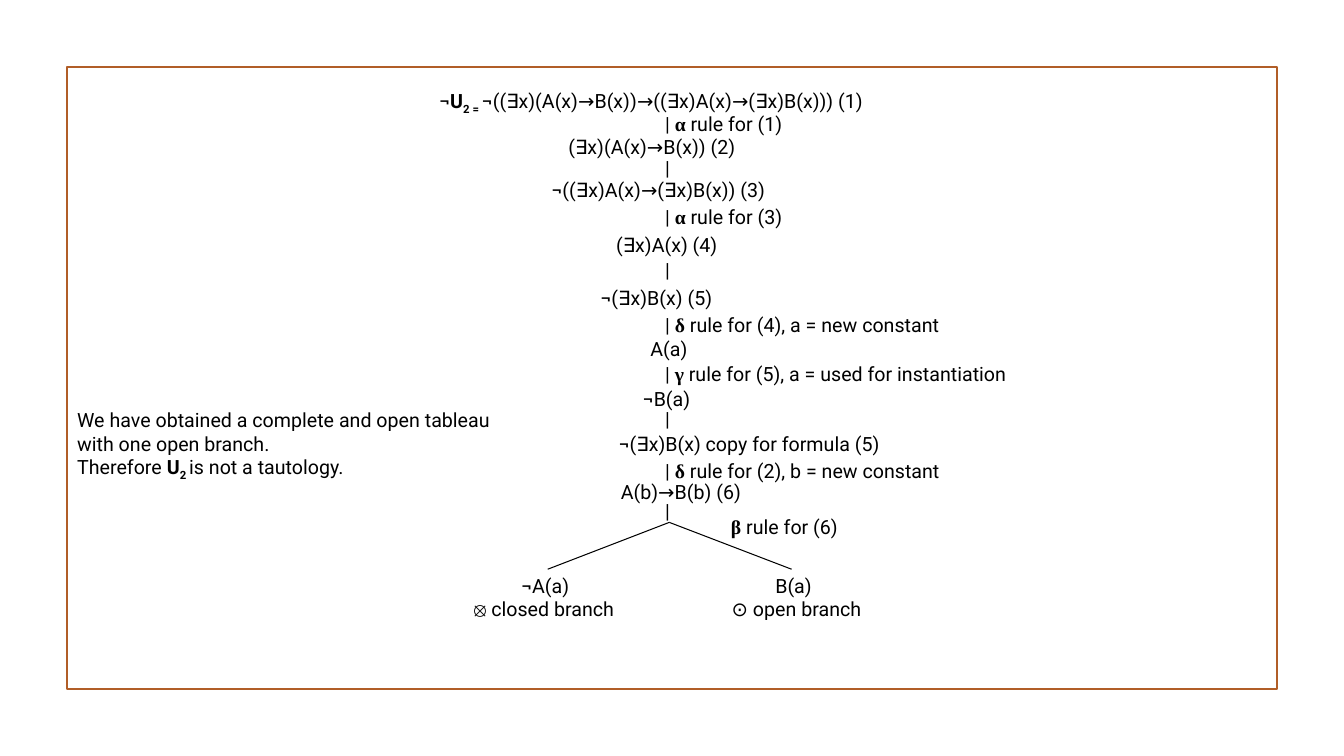
from pptx import Presentation
from pptx.dml.color import RGBColor as Rgb
from pptx.enum.shapes import MSO_CONNECTOR as Link, MSO_SHAPE as Kind
from pptx.enum.text import MSO_AUTO_SIZE as Fit, PP_ALIGN as Align
from pptx.oxml.ns import qn
from pptx.util import Inches, Pt

HUES = {"ink": "000000", "frame": "B15E28"}
FACES = {"main": "Roboto", "greek": "Times New Roman"}
WIDE, HIGH = Inches(13.33), Inches(7.5)
ROW = 4.5
TRUNK = 48.75

STEPS = [
    (41.55, 17.2, 14.7, "(∃x)(A(x)→B(x)) (2)"),
    (40.3, 22.9, 18.45, "¬((∃x)A(x)→(∃x)B(x)) (3)"),
    (45.1, 30.1, 9.4, "(∃x)A(x) (4)"),
    (43.95, 37.1, 10.4, "¬(∃x)B(x) (5)"),
    (47.65, 43.9, 4.3, "A(a)"),
    (47.1, 50.5, 5.4, "¬B(a)"),
    (45.3, 56.5, 22.75, "¬(∃x)B(x) copy for formula (5)"),
    (45.45, 62.8, 14.25, "A(b)→B(b) (6)"),
    (38.05, 75.2, 5.4, "¬A(a)"),
    (34.5, 78.3, 12.4, "⦻ closed branch"),
    (56.95, 75.2, 4.3, "B(a)"),
    (53.7, 78.3, 11.5, "⊙ open branch"),
]
RULES = [
    (14.1, 11, "α", "(1)"),
    (26.5, 11, "α", "(3)"),
    (40.8, 23.3, "δ", "(4), a = new constant"),
    (47.2, 28.95, "γ", "(5), a = used for instantiation"),
    (60, 23.3, "δ", "(2), b = new constant"),
]
BARS = [19.9, 33.5, 53.1, 65.3]
ROOT = [("¬", ""), ("U", "bold"), ("2 = ", "sub"),
        ("¬((∃x)(A(x)→B(x))→((∃x)A(x)→(∃x)B(x))) (1)", "")]
NOTE = [
    [("We have obtained a complete and open tableau", "")],
    [("with one open branch.", "")],
    [("Therefore ", ""), ("U", "bold"), ("2 ", "sub"), ("is not a tautology.", "")],
]


def across(share):
    return round(WIDE * share / 100)


def down(share):
    return round(HIGH * share / 100)


def hue(name):
    return Rgb.from_string(HUES[name])


def add_run(para, text, style):
    run = para.add_run()
    run.text = text
    if style:
        run.font.bold = True
    if style == "greek":
        run.font.name = FACES["greek"]
    if style == "sub":
        run._r.get_or_add_rPr().set("baseline", "-25000")


def add_text(slide, x, y, w, lines, h=ROW, align=Align.LEFT):
    box = slide.shapes.add_textbox(across(x), down(y), across(w), down(h))
    frame = box.text_frame
    frame.word_wrap = False
    frame.auto_size = Fit.SHAPE_TO_FIT_TEXT
    for i, runs in enumerate(lines):
        para = frame.add_paragraph() if i else frame.paragraphs[0]
        para.alignment = align
        para.font.name = FACES["main"]
        para.font.size = Pt(14)
        para.font.color.rgb = hue("ink")
        for text, style in runs:
            add_run(para, text, style)


def add_rule(slide, x, y, w, greek, tail, lead="| "):
    runs = [(lead, "")] if lead else []
    runs += [(greek, "greek"), (f" rule for {tail}", "")]
    add_text(slide, x, y, w, [runs])


def add_frame(slide):
    box = slide.shapes.add_shape(
        Kind.RECTANGLE, across(5), down(8.9), across(90), down(82.3))
    box.shadow.inherit = False
    box.fill.background()
    box.line.color.rgb = hue("frame")
    box.line.width = Pt(1.25)


def add_branch(slide, x):
    line = slide.shapes.add_connector(
        Link.STRAIGHT, across(49.8), down(69.1), across(x), down(75.3))
    line.line.color.rgb = hue("ink")
    line.line.width = Pt(0.75)
    props = line._element.spPr
    props.append(props.makeelement(qn("a:effectLst"), {}))


def main():
    deck = Presentation()
    deck.slide_width, deck.slide_height = WIDE, HIGH
    slide = deck.slides.add_slide(deck.slide_layouts[6])
    add_frame(slide)
    add_text(slide, 31.95, 11.1, 36, [ROOT])
    for x, y, w, text in STEPS:
        add_text(slide, x, y, w, [[(text, "")]])
    for y, w, greek, tail in RULES:
        add_rule(slide, TRUNK, y, w, greek, tail)
    for y in BARS:
        add_text(slide, TRUNK, y, 2.1, [[("|", "")]])
    add_rule(slide, 53.65, 67.5, 10.05, "β", "(6)", lead="")
    for x in (40.75, 58.9):
        add_branch(slide, x)
    add_text(slide, 5, 53.3, 32.55, NOTE, h=10.8, align=Align.JUSTIFY)
    deck.save("out.pptx")


if __name__ == "__main__":
    main()
